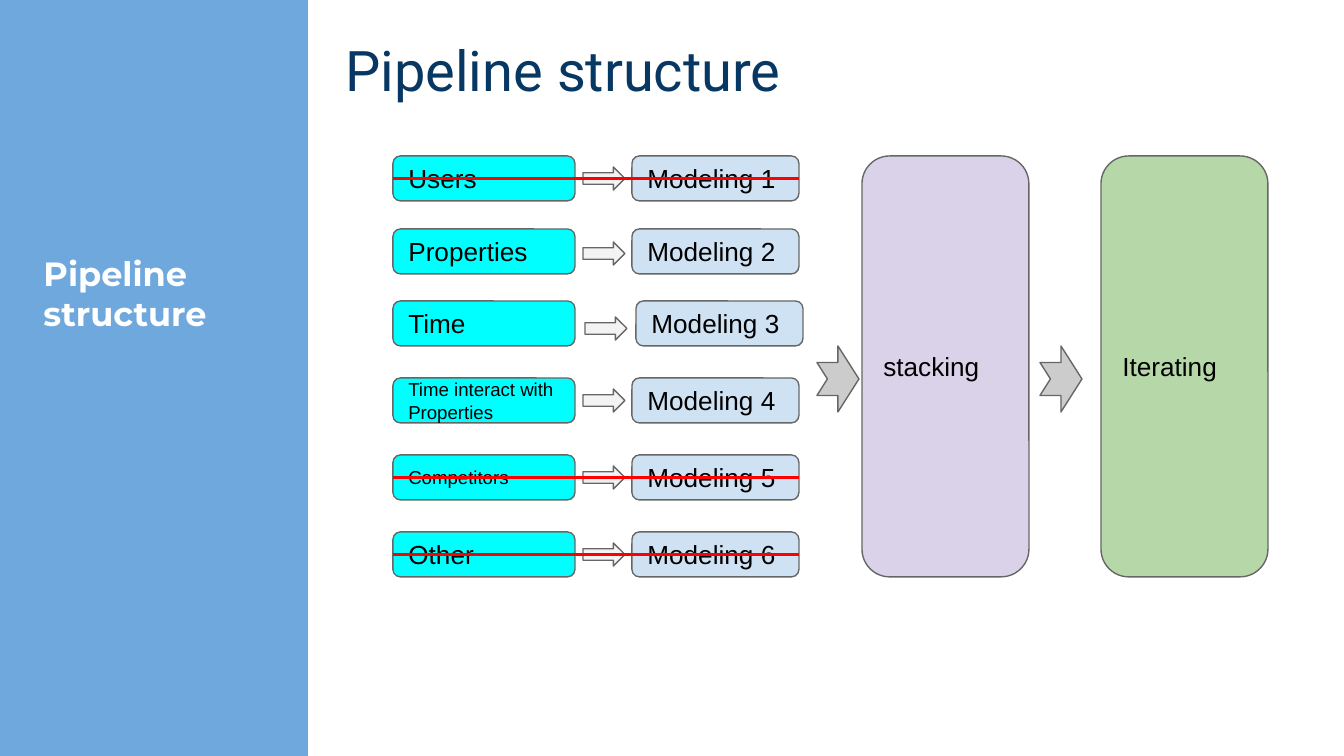
"""Build the pipeline structure slide."""
from lxml.etree import SubElement
from pptx import Presentation
from pptx.dml.color import RGBColor
from pptx.enum.shapes import MSO_CONNECTOR, MSO_SHAPE
from pptx.enum.text import MSO_ANCHOR, MSO_AUTO_SIZE, PP_ALIGN
from pptx.oxml.ns import qn
from pptx.util import Pt

PX = 9144000 / 1344


def put_text(sp, text, size, font, color, bold=False, anchor=MSO_ANCHOR.MIDDLE):
    tf = sp.text_frame
    inset = round(13.44 * PX)
    frame = {"word_wrap": True, "auto_size": MSO_AUTO_SIZE.NONE, "vertical_anchor": anchor,
             "margin_left": inset, "margin_right": inset,
             "margin_top": inset, "margin_bottom": inset}
    for name, value in frame.items():
        setattr(tf, name, value)
    p = tf.paragraphs[0]
    p.alignment = PP_ALIGN.LEFT
    r = p.add_run()
    r.text = text
    for name, value in {"size": Pt(size), "name": font, "bold": bold}.items():
        setattr(r.font, name, value)
    r.font.color.rgb = RGBColor.from_string(color)
    return p


def add_box(kind, box, fill, text=None, size=14, line="666666"):
    sp = s.shapes.add_shape(kind, *[round(v * PX) for v in box])
    sp.shadow.inherit = False
    sp.fill.solid()
    sp.fill.fore_color.rgb = RGBColor.from_string(fill)
    if line:
        sp.line.color.rgb = RGBColor.from_string(line)
        sp.line.width = Pt(0.75)
    else:
        sp.line.fill.background()
    if text:
        put_text(sp, text, size, "Arial", "000000")
    return sp


prs = Presentation()
prs.slide_width, prs.slide_height = round(1344 * PX), round(756 * PX)
s = prs.slides.add_slide(prs.slide_layouts[1])
s.background.fill.solid()
s.background.fill.fore_color.rgb = RGBColor.from_string("6FA8DC")

panel = add_box(MSO_SHAPE.RECTANGLE, (308, 0, 1036, 756), "FFFFFF", line=None)
title, body = s.placeholders
title._element.addprevious(panel._element)

for sp, box in [(title, (30, 239, 251, 126)), (body, (332, 22, 980, 714))]:
    for name, value in zip(("left", "top", "width", "height"), box):
        setattr(sp, name, round(value * PX))
put_text(title, "Pipeline structure", 18, "Montserrat", "FFFFFF", True, MSO_ANCHOR.TOP)
p = put_text(body, "Pipeline structure", 30, "Roboto", "073763", anchor=MSO_ANCHOR.TOP)
p.space_before = Pt(6)
pPr = p._p.get_or_add_pPr()
for name in ("marL", "indent"):
    pPr.set(name, "0")
SubElement(pPr, qn("a:buNone"))

rows = [
    ("Users", 14, 156, 167, 583, 632, True),
    ("Properties", 14, 229, 242, 583, 632, False),
    ("Time", 14, 301, 317, 585, 636, False),
    ("Time interact with Properties", 10, 378, 389, 583, 632, False),
    ("Competitors", 10, 455, 466, 583, 632, True),
    ("Other", 14, 532, 543, 583, 632, True),
]
dropped = []
for i, (text, size, y, arrow_y, arrow_x, model_x, is_dropped) in enumerate(rows, 1):
    feature = add_box(MSO_SHAPE.ROUNDED_RECTANGLE, (393, y, 182, 45), "00FFFF", text, size)
    model = add_box(MSO_SHAPE.ROUNDED_RECTANGLE, (model_x, y, 167, 45), "CFE2F3", f"Modeling {i}")
    add_box(MSO_SHAPE.RIGHT_ARROW, (arrow_x, arrow_y, 42, 23), "F3F3F3")
    if is_dropped:
        dropped.append((feature, model))

for text, x, arrow_x, fill in [("stacking", 862, 817, "D9D2E9"), ("Iterating", 1101, 1040, "B6D7A8")]:
    add_box(MSO_SHAPE.ROUNDED_RECTANGLE, (x, 156, 167, 421), fill, text)
    add_box(MSO_SHAPE.NOTCHED_RIGHT_ARROW, (arrow_x, 346, 42, 66), "CCCCCC")

for feature, model in dropped:
    strike = s.shapes.add_connector(MSO_CONNECTOR.STRAIGHT, 0, 0, 0, 0)
    strike.begin_connect(feature, 1)
    strike.end_connect(model, 3)
    strike.line.color.rgb = RGBColor.from_string("FF0000")
    strike.line.width = Pt(1.5)
    SubElement(strike._element.spPr, qn("a:effectLst"))

prs.save("out.pptx")
